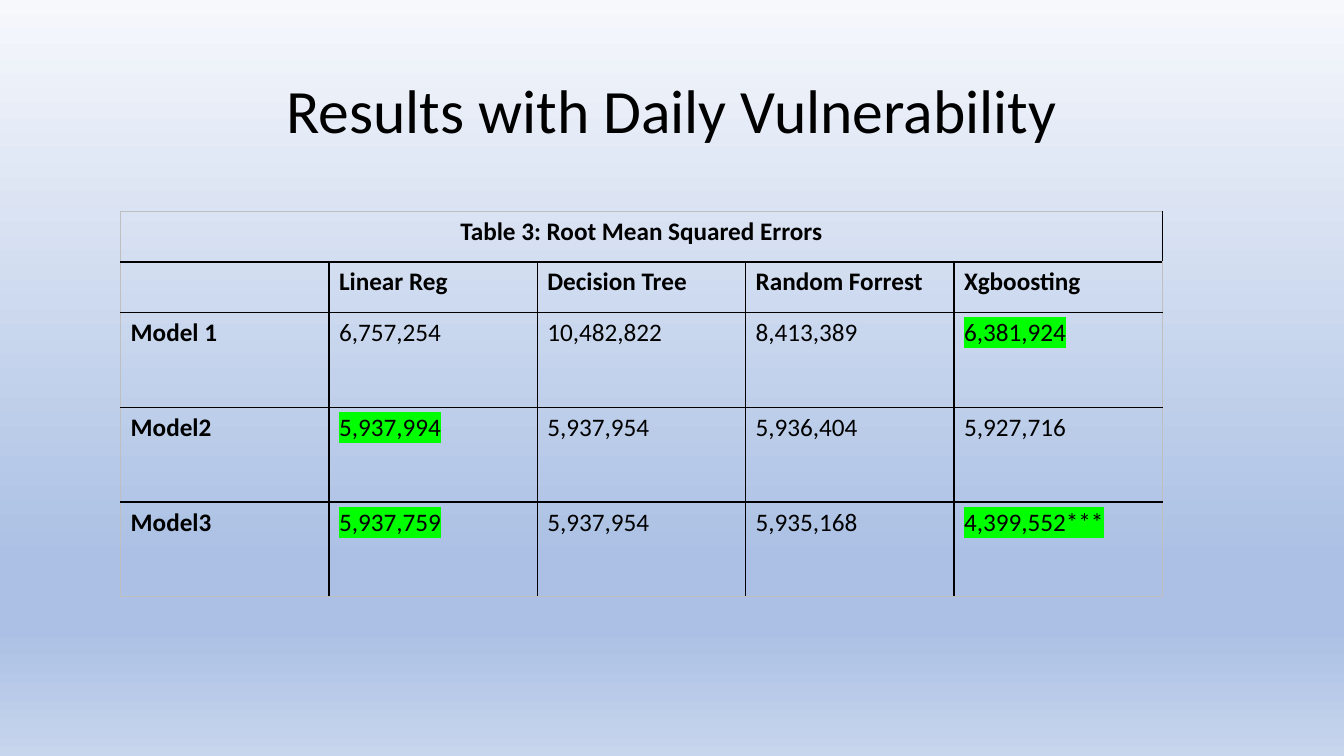
"""Build the slide with the table of root mean squared errors by model."""
from dataclasses import dataclass

from lxml import etree
from pptx import Presentation, util as u
from pptx.dml.color import RGBColor
from pptx.enum import text
from pptx.oxml.ns import qn


@dataclass(frozen=True)
class Theme:
    font: str = "Calibri"
    ink: str = "000000"
    frame: str = "BFBFBF"
    mark: str = "00FF00"
    title: int = 44
    body: int = 18
    backdrop: tuple = ((0, "F6F8FC"), (74, "ABC0E4"), (83, "ABC0E4"), (100, "C7D5ED"))


theme = Theme()


def add_run(p, words, size, bold=False):
    r = p.add_run()
    r.text = words
    r.font.name = theme.font
    r.font.size = u.Pt(size)
    r.font.bold = bold
    r.font.color.rgb = RGBColor.from_string(theme.ink)
    return r


def add_color(parent, color):
    return etree.SubElement(parent, qn("a:srgbClr"), val=color)


prs = Presentation()
prs.slide_width, prs.slide_height = u.Cm(33.87), u.Cm(19.05)
s = prs.slides.add_slide(prs.slide_layouts[5])

fill = s.background.fill
fill.gradient()
fill.gradient_angle = 270
stops = s.element.find(".//" + qn("a:gsLst"))
for stop in list(stops):
    stops.remove(stop)
for percent, color in theme.backdrop:
    add_color(etree.SubElement(stops, qn("a:gs"), pos=str(percent * 1000)), color)

title = s.shapes.title
title.left, title.top, title.width, title.height = u.Cm(2.33), u.Cm(1.01), u.Cm(29.21), u.Cm(3.68)
tf = title.text_frame
tf.vertical_anchor = text.MSO_ANCHOR.MIDDLE
p = tf.paragraphs[0]
p.alignment = text.PP_ALIGN.CENTER
p.line_spacing = 0.9
add_run(p, "Results with Daily Vulnerability", theme.title)

rows = [
    ["Table 3: Root Mean Squared Errors", "", "", "", ""],
    ["", "Linear Reg", "Decision Tree", "Random Forrest", "Xgboosting"],
    ["Model 1", "6,757,254", "10,482,822", "8,413,389", "6,381,924"],
    ["Model2", "5,937,994", "5,937,954", "5,936,404", "5,927,716"],
    ["Model3", "5,937,759", "5,937,954", "5,935,168", "4,399,552***"],
]
marked = {(2, 4), (3, 1), (4, 1), (4, 4)}
heights = [1.27, 1.27, 2.39, 2.39, 2.39]
column_width = 5.25
last_row, last_col = len(rows) - 1, len(rows[0]) - 1

frame = s.shapes.add_table(len(rows), len(rows[0]), u.Cm(3.04), u.Cm(5.33),
                           u.Cm(column_width * len(rows[0])), u.Cm(sum(heights)))
table = frame.table
table.first_row = table.horz_banding = False
for column in table.columns:
    column.width = u.Cm(column_width)
for row, height in zip(table.rows, heights):
    row.height = u.Cm(height)
table.cell(0, 0).merge(table.cell(0, last_col))

for i, values in enumerate(rows):
    for j, value in enumerate(values):
        cell = table.cell(i, j)
        cell.fill.background()
        outer = {"L": j == 0, "R": j == last_col, "T": i == 0, "B": i == last_row}
        tc_pr = cell._tc.get_or_add_tcPr()
        for k, (side, is_outer) in enumerate(outer.items()):
            line = etree.Element(qn("a:ln" + side), w=str(u.Pt(1)))
            add_color(etree.SubElement(line, qn("a:solidFill")), theme.frame if is_outer else theme.ink)
            tc_pr.insert(k, line)
        p = cell.text_frame.paragraphs[0]
        p.font.size = u.Pt(theme.body)
        if i == 0:
            p.alignment = text.PP_ALIGN.CENTER
        if value:
            r = add_run(p, value, theme.body, bold=i < 2 or j == 0)
            if (i, j) in marked:
                highlight = etree.Element(qn("a:highlight"))
                add_color(highlight, theme.mark)
                r._r.get_or_add_rPr().find(qn("a:solidFill")).addnext(highlight)

prs.save("out.pptx")
